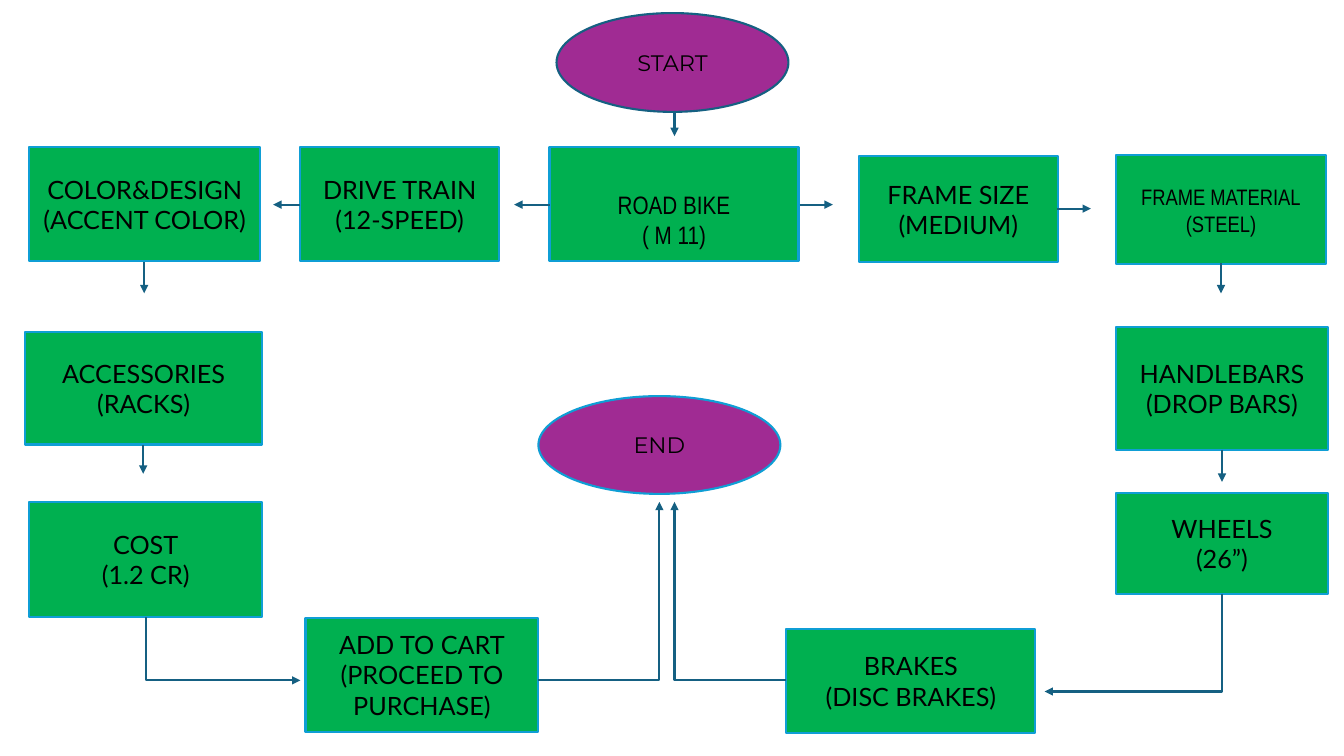
from dataclasses import dataclass
from lxml.etree import SubElement
from pptx import Presentation
from pptx.dml.color import RGBColor
from pptx.enum.shapes import MSO_CONNECTOR, MSO_SHAPE
from pptx.enum.text import MSO_ANCHOR, PP_ALIGN
from pptx.oxml.ns import qn
from pptx.util import Inches, Pt


@dataclass(frozen=True)
class Theme:
    step_fill: str = "00B050"
    terminal_fill: str = "A02B93"
    step_line: str = "0F9ED5"
    arrow_line: str = "156082"
    text: str = "000000"
    body_font: str = "Lato"
    narrow_font: str = "Arial Narrow"
    terminal_font: str = "Montserrat"
    body_size: float = 18
    small_size: float = 16
    line_width: float = 1.5


def write_text(frame, text, *, font, size, color, top_inset=0.05):
    frame.word_wrap = True
    frame.vertical_anchor = MSO_ANCHOR.MIDDLE
    frame.margin_top = Inches(top_inset)
    for index, line in enumerate(text.split("\n")):
        para = frame.paragraphs[0] if index == 0 else frame.add_paragraph()
        para.alignment = PP_ALIGN.CENTER
        span = para.add_run()
        span.text = line
        span.font.name = font
        span.font.size = Pt(size)
        span.font.color.rgb = RGBColor.from_string(color)


class Flowchart:
    def __init__(self, page, theme):
        self.page = page
        self.theme = theme

    def node(self, kind, place, fill, line, text, **text_format):
        box = self.page.shapes.add_shape(kind, *map(Inches, place))
        box.shadow.inherit = False
        box.fill.solid()
        box.fill.fore_color.rgb = RGBColor.from_string(fill)
        box.line.color.rgb = RGBColor.from_string(line)
        box.line.width = Pt(self.theme.line_width)
        write_text(box.text_frame, text, color=self.theme.text, **text_format)

    def step(self, place, text, **text_format):
        style = {"font": self.theme.body_font, "size": self.theme.body_size} | text_format
        self.node(MSO_SHAPE.RECTANGLE, place, self.theme.step_fill,
                  self.theme.step_line, text, **style)

    def terminal(self, place, text, line):
        self.node(MSO_SHAPE.OVAL, place, self.theme.terminal_fill, line, text,
                  font=self.theme.terminal_font, size=self.theme.small_size)

    def arrow(self, start, end, kind=MSO_CONNECTOR.STRAIGHT):
        link = self.page.shapes.add_connector(kind, *map(Inches, (*start, *end)))
        link.line.color.rgb = RGBColor.from_string(self.theme.arrow_line)
        link.line.width = Pt(self.theme.line_width)
        SubElement(link.line._get_or_add_ln(), qn("a:tailEnd"), type="triangle")
        SubElement(link._element.spPr, qn("a:effectLst"))
        return link

    def elbow(self, start, end, down_first=False):
        if down_first:
            middle_x, middle_y = (start[0] + end[0]) / 2, (start[1] + end[1]) / 2
            start, end = [(middle_x + y - middle_y, middle_y - x + middle_x)
                          for x, y in (start, end)]
        link = self.arrow(start, end, MSO_CONNECTOR.ELBOW)
        properties = link._element.spPr
        properties.find(qn("a:prstGeom")).set("prst", "bentConnector2")
        if down_first:
            properties.find(qn("a:xfrm")).set("rot", str(90 * 60000))


def main():
    deck = Presentation()
    deck.slide_width, deck.slide_height = Inches(13.33), Inches(7.5)
    page = deck.slides.add_slide(deck.slide_layouts[6])
    theme = Theme()
    chart = Flowchart(page, theme)

    chart.terminal((5.52, 0.13, 2.3, 0.98), "START", theme.arrow_line)
    chart.step((5.45, 1.46, 2.47, 1.13), "ROAD BIKE\n( M 11)",
               font=theme.narrow_font, top_inset=0.35)
    chart.step((11.07, 1.54, 2.08, 1.08), "FRAME MATERIAL\n(STEEL)",
               font=theme.narrow_font, size=theme.small_size)
    steps = [
        ((8.52, 1.55, 1.97, 1.05), "FRAME SIZE\n(MEDIUM)"),
        ((11.07, 3.24, 2.1, 1.22), "HANDLEBARS\n(DROP BARS)"),
        ((11.07, 4.89, 2.1, 1), "WHEELS\n(26”)"),
        ((7.8, 6.24, 2.47, 1.03), "BRAKES\n(DISC BRAKES)"),
        ((2.98, 1.46, 1.97, 1.13), "DRIVE TRAIN\n(12-SPEED)"),
        ((0.29, 1.46, 2.29, 1.13), "COLOR&DESIGN\n(ACCENT COLOR)"),
        ((0.25, 3.29, 2.35, 1.12), "ACCESSORIES\n(RACKS)"),
        ((0.29, 4.98, 2.31, 1.14), "COST\n(1.2 CR)"),
        ((3.03, 6.13, 2.31, 1.13), "ADD TO CART\n(PROCEED TO PURCHASE)"),
    ]
    for place, text in steps:
        chart.step(place, text)
    chart.terminal((5.34, 3.93, 2.4, 0.97), "END", theme.step_line)

    for x, top, bottom in [(6.69, 1.11, 1.35), (12.11, 2.61, 2.91), (12.12, 4.46, 4.78),
                           (1.43, 2.6, 2.91), (1.42, 4.41, 4.7)]:
        chart.arrow((x, top), (x, bottom))
    for y, start, end in [(2.03, 7.93, 8.26), (2.07, 10.48, 10.82),
                          (2.03, 5.45, 5.1), (2.03, 2.98, 2.71)]:
        chart.arrow((start, y), (end, y))
    chart.elbow((12.12, 5.89), (10.36, 6.86), down_first=True)
    chart.elbow((1.45, 6.12), (2.98, 6.75), down_first=True)
    chart.elbow((7.8, 6.75), (6.69, 4.98))
    chart.elbow((5.34, 6.75), (6.54, 4.98))

    deck.save("out.pptx")


if __name__ == "__main__":
    main()
